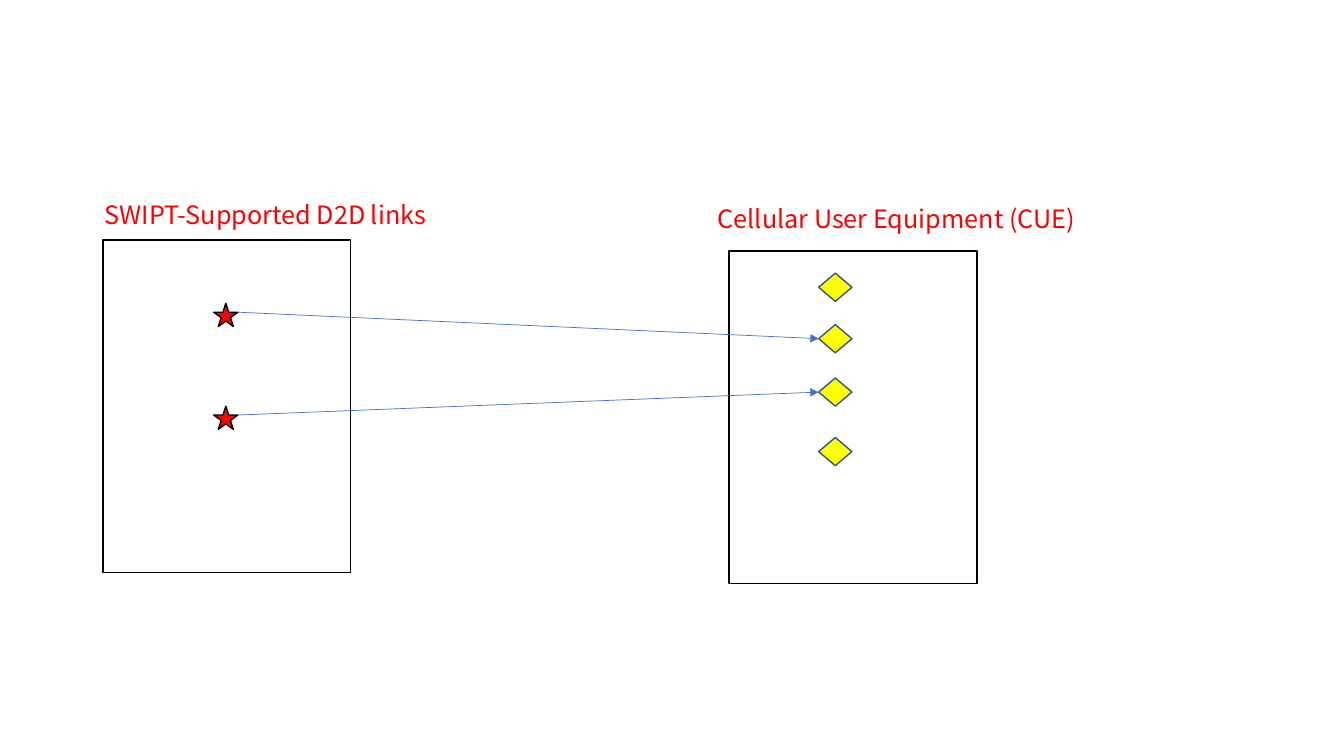
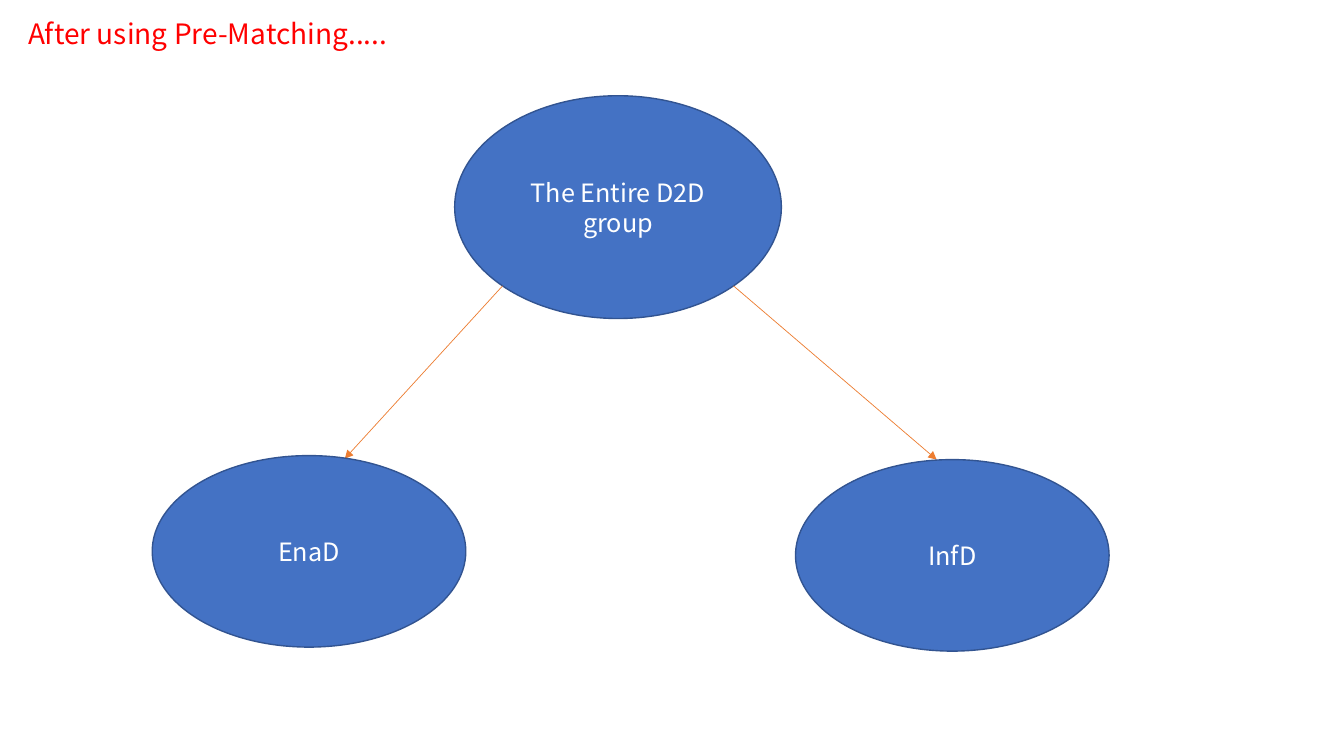
from dataclasses import dataclass
from math import sqrt

from lxml.etree import SubElement
from pptx import Presentation
from pptx.dml.color import RGBColor
from pptx.enum.shapes import MSO_CONNECTOR, MSO_SHAPE as SHAPE
from pptx.enum.text import MSO_ANCHOR, MSO_AUTO_SIZE, PP_ALIGN
from pptx.oxml.ns import qn
from pptx.util import Inches, Pt


@dataclass(frozen=True)
class Theme:
    font: str = "Noto Sans CJK SC"
    body: int = 18
    title: int = 20
    outline: float = 1
    arrow: float = 0.5
    red: str = "FF0000"
    yellow: str = "FFFF00"
    white: str = "FFFFFF"
    black: str = "000000"
    blue: str = "4472C4"
    navy: str = "325491"
    orange: str = "ED7D31"


THEME = Theme()
TITLE_ONLY, BLANK = 5, 6

# Slide 1: the two sets and the links between them
GROUPS = [  # label, label box, frame left and top
    ("Cellular User Equipment (CUE)", (7.02, 1.97, 3.85, 0.4), (7.23, 2.49)),
    ("SWIPT-Supported D2D links", (0.94, 1.93, 4.31, 0.4), (1.02, 2.38)),
]
FRAME_SIZE = (2.46, 3.3)
CUE_LEFT, CUE_SIZE = 8.12, (0.33, 0.28)
CUE_TOPS = [2.71, 3.22, 3.75, 4.34]
D2D_LEFT, D2D_SIZE = 2.12, (0.24, 0.23)
D2D_TOPS = [3.01, 4.03]
STAR_ARM = 0.38  # height of a star's side tips, as a share of the star
MATCHES = [(0, 1), (1, 2)]  # D2D link, CUE

# Slide 2: the group and its two parts
TITLE = "After using Pre-Matching....."
TITLE_BOX = (0.18, 0.11, 4.22, 0.44)
ROOT = ("The Entire D2D group", (4.51, 0.95, 3.24, 2.21))
PART_SIZE = (3.11, 1.9)
PARTS = [  # text, left and top, side of the root, arrow tip
    ("EnaD", (1.51, 4.52), -1, (3.42, 4.55)),
    ("InfD", (7.89, 4.56), 1, (9.29, 4.56)),
]


def color(value):
    return RGBColor.from_string(value)


def add_run(p, text, size, ink):
    r = p.add_run()
    r.text = text
    r.font.name = THEME.font
    r.font.size = Pt(size)
    r.font.color.rgb = color(ink)


def add_shape(slide, kind, box, fill, line, text=None):
    sp = slide.shapes.add_shape(kind, *map(Inches, box))
    sp.shadow.inherit = False
    sp.fill.solid()
    sp.fill.fore_color.rgb = color(fill)
    sp.line.color.rgb = color(line)
    sp.line.width = Pt(THEME.outline)
    if text:
        tf = sp.text_frame
        tf.word_wrap = True
        tf.vertical_anchor = MSO_ANCHOR.MIDDLE
        p = tf.paragraphs[0]
        p.alignment = PP_ALIGN.CENTER
        add_run(p, text, THEME.body, THEME.white)
    return sp


def fill_heading(sp, text, size):
    """Write red, left-aligned text at the top of a text box or title."""
    tf = sp.text_frame
    tf.word_wrap = True
    tf.auto_size = MSO_AUTO_SIZE.SHAPE_TO_FIT_TEXT
    tf.vertical_anchor = MSO_ANCHOR.TOP
    p = tf.paragraphs[0]
    p.alignment = PP_ALIGN.LEFT
    add_run(p, text, size, THEME.red)


def add_arrow(slide, start, end, ink):
    line = slide.shapes.add_connector(
        MSO_CONNECTOR.STRAIGHT, *map(Inches, (*start, *end)))
    line.line.color.rgb = color(ink)
    line.line.width = Pt(THEME.arrow)
    SubElement(line.line._get_or_add_ln(), qn("a:tailEnd"), type="triangle")
    SubElement(line._element.spPr, qn("a:effectLst"))
    return line


def build_links(prs):
    s = prs.slides.add_slide(prs.slide_layouts[BLANK])
    for label, label_box, corner in GROUPS:
        add_shape(s, SHAPE.RECTANGLE, (*corner, *FRAME_SIZE),
                  THEME.white, THEME.black)
        box = s.shapes.add_textbox(*map(Inches, label_box))
        fill_heading(box, label, THEME.body)
    cues = [add_shape(s, SHAPE.FLOWCHART_DECISION, (CUE_LEFT, top, *CUE_SIZE),
                      THEME.yellow, THEME.navy) for top in CUE_TOPS]
    for top in D2D_TOPS:
        add_shape(s, SHAPE.STAR_5_POINT, (D2D_LEFT, top, *D2D_SIZE),
                  THEME.red, THEME.black)
    for d2d, cue in MATCHES:
        start = (D2D_LEFT + D2D_SIZE[0], D2D_TOPS[d2d] + STAR_ARM * D2D_SIZE[1])
        end = (CUE_LEFT, CUE_TOPS[cue] + CUE_SIZE[1] / 2)
        add_arrow(s, start, end, THEME.blue).end_connect(cues[cue], 1)


def build_split(prs):
    s = prs.slides.add_slide(prs.slide_layouts[TITLE_ONLY])
    title = s.shapes.title
    title.left, title.top, title.width, title.height = map(Inches, TITLE_BOX)
    fill_heading(title, TITLE, THEME.title)

    text, root_box = ROOT
    add_shape(s, SHAPE.OVAL, root_box, THEME.blue, THEME.navy, text)
    left, top, width, height = root_box
    dx, dy = width / 2 / sqrt(2), height / 2 / sqrt(2)
    for text, corner, side, tip in PARTS:
        start = (left + width / 2 + side * dx, top + height / 2 + dy)
        add_arrow(s, start, tip, THEME.orange)
        add_shape(s, SHAPE.OVAL, (*corner, *PART_SIZE),
                  THEME.blue, THEME.navy, text)


def main():
    prs = Presentation()
    prs.slide_width, prs.slide_height = Inches(13.33), Inches(7.5)
    build_links(prs)
    build_split(prs)
    prs.save("out.pptx")


if __name__ == "__main__":
    main()
